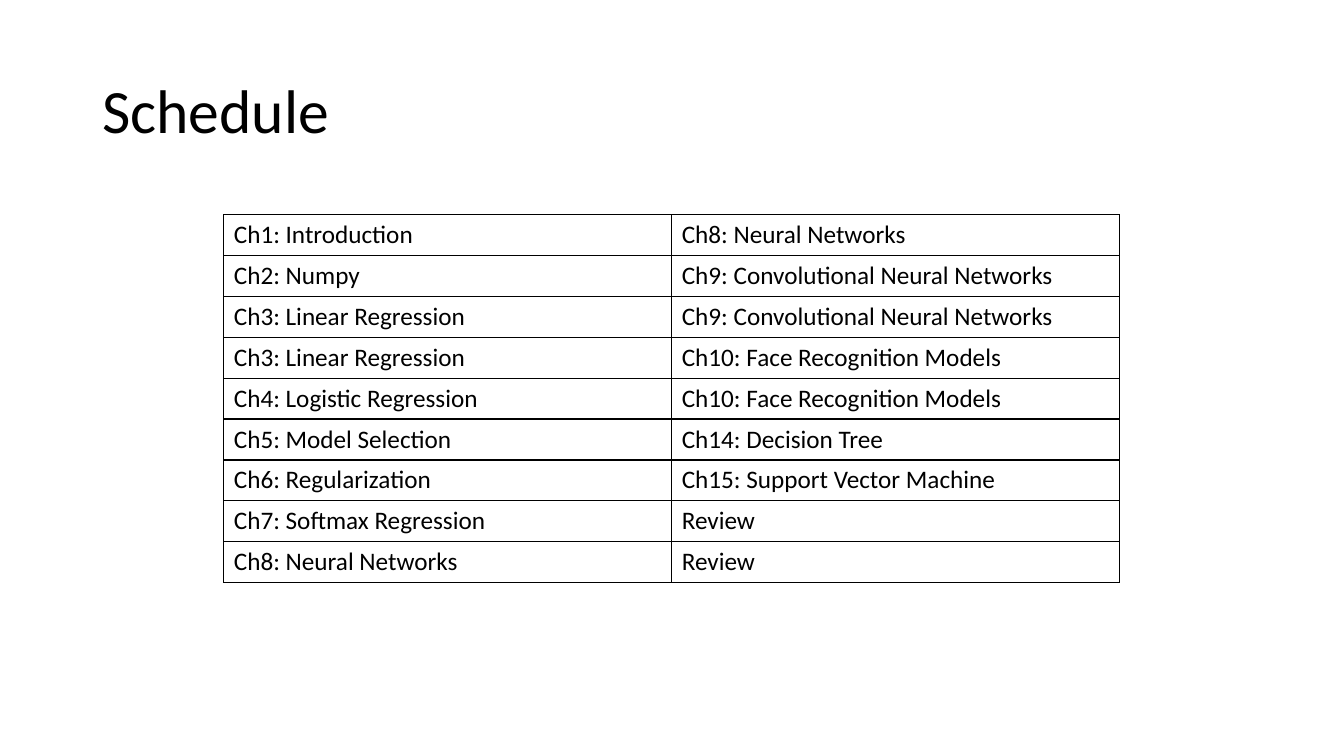
from dataclasses import dataclass

from lxml.etree import SubElement
from pptx import Presentation
from pptx.dml.color import RGBColor
from pptx.enum.text import MSO_ANCHOR
from pptx.oxml.ns import qn
from pptx.slide import Slide
from pptx.table import _Cell as Cell
from pptx.text.text import _Paragraph as Paragraph
from pptx.util import Cm, Pt

BLACK = RGBColor(0, 0, 0)
FONT = "Calibri"
COLUMN_WIDTH = Cm(11.29)
ROW_HEIGHT = Cm(1.03)
BORDER_WIDTH = Pt(1)


@dataclass(frozen=True)
class Lesson:
    first_half: str
    second_half: str


LESSONS = [
    Lesson("Ch1: Introduction", "Ch8: Neural Networks"),
    Lesson("Ch2: Numpy", "Ch9: Convolutional Neural Networks"),
    Lesson("Ch3: Linear Regression", "Ch9: Convolutional Neural Networks"),
    Lesson("Ch3: Linear Regression", "Ch10: Face Recognition Models"),
    Lesson("Ch4: Logistic Regression", "Ch10: Face Recognition Models"),
    Lesson("Ch5: Model Selection", "Ch14: Decision Tree"),
    Lesson("Ch6: Regularization", "Ch15: Support Vector Machine"),
    Lesson("Ch7: Softmax Regression", "Review"),
    Lesson("Ch8: Neural Networks", "Review"),
]


def write(para: Paragraph, text: str, size: int) -> None:
    para.text = text
    for span in para.runs:
        span.font.name = FONT
        span.font.size = Pt(size)
        span.font.color.rgb = BLACK


def add_borders(cell: Cell) -> None:
    properties = cell._tc.get_or_add_tcPr()
    for side in ("a:lnL", "a:lnR", "a:lnT", "a:lnB"):
        line = SubElement(properties, qn(side), w=str(BORDER_WIDTH))
        fill = SubElement(line, qn("a:solidFill"))
        SubElement(fill, qn("a:srgbClr"), val=str(BLACK))


def add_title(page: Slide, text: str) -> None:
    box = page.shapes.add_textbox(Cm(2.33), Cm(1.02), Cm(29.21), Cm(3.68))
    frame = box.text_frame
    frame.word_wrap = True
    frame.vertical_anchor = MSO_ANCHOR.MIDDLE
    para = frame.paragraphs[0]
    para.line_spacing = 0.9
    write(para, text, 44)


def add_schedule(page: Slide, lessons: list[Lesson]) -> None:
    table = page.shapes.add_table(
        len(lessons), 2, Cm(5.64), Cm(5.41),
        COLUMN_WIDTH * 2, ROW_HEIGHT * len(lessons),
    ).table
    table.first_row = False
    table.horz_banding = False
    for row, lesson in zip(table.rows, lessons):
        row.height = ROW_HEIGHT
        for cell, text in zip(row.cells, (lesson.first_half, lesson.second_half)):
            add_borders(cell)
            cell.fill.background()
            write(cell.text_frame.paragraphs[0], text, 18)


def main() -> None:
    deck = Presentation()
    deck.slide_width = Cm(33.87)
    deck.slide_height = Cm(19.05)
    page = deck.slides.add_slide(deck.slide_layouts[6])
    add_title(page, "Schedule")
    add_schedule(page, LESSONS)
    deck.save("out.pptx")


if __name__ == "__main__":
    main()
